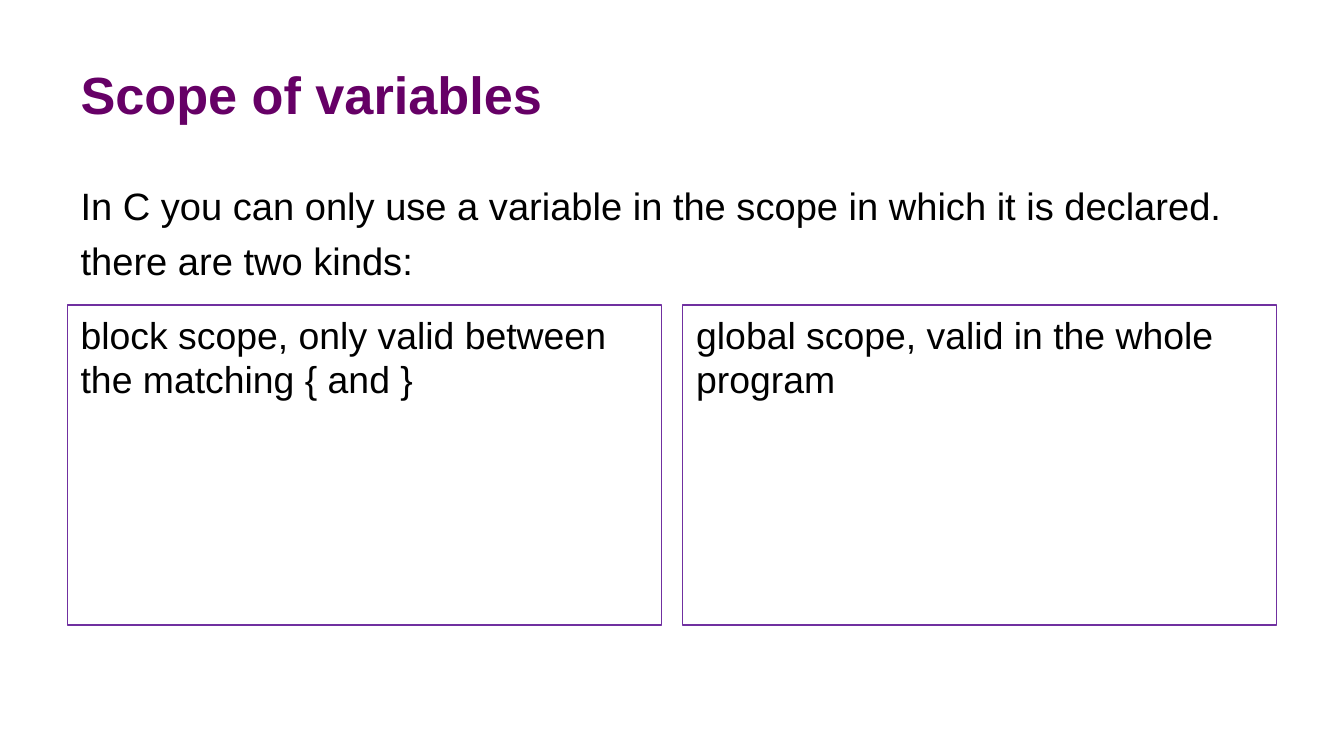
from lxml import etree
from pptx import Presentation
from pptx.dml.color import RGBColor
from pptx.enum.text import MSO_ANCHOR, MSO_AUTO_SIZE, PP_ALIGN
from pptx.oxml.ns import qn
from pptx.util import Inches, Pt

TOP, MIDDLE = MSO_ANCHOR.TOP, MSO_ANCHOR.MIDDLE
LEFT = PP_ALIGN.LEFT
NO_AUTOFIT = MSO_AUTO_SIZE.NONE
COMPARISON_LAYOUT = 4

WIDTH = 10
HEIGHT = WIDTH * 9 / 16
MARGIN, GUTTER = 0.5, 0.16
CONTENT_WIDTH = WIDTH - 2 * MARGIN
SCOPES = [
    "block scope, only valid between the matching { and }",
    "global scope, valid in the whole program",
]


def colour(hex_string):
    return RGBColor.from_string(hex_string)


def place(shape, box):
    shape.left, shape.top, shape.width, shape.height = map(Inches, box)


def write(shape, lines, size, hex_string, bold=False, anchor=TOP):
    frame = shape.text_frame
    frame.word_wrap = True
    frame.auto_size = NO_AUTOFIT
    frame.vertical_anchor = anchor
    for index, line in enumerate(lines):
        paragraph = frame.add_paragraph() if index else frame.paragraphs[0]
        paragraph.alignment = LEFT
        run = paragraph.add_run()
        run.text = line
        run.font.name = "Arial"
        run.font.size = Pt(size)
        run.font.bold = bold
        run.font.color.rgb = colour(hex_string)


def format_body(shape, space_before):
    for paragraph in shape.text_frame.paragraphs:
        paragraph.space_before = Pt(space_before)
        paragraph.line_spacing = 1.0
        properties = paragraph._p.get_or_add_pPr()
        properties.set("marL", "0")
        properties.set("indent", "0")
        etree.SubElement(properties, qn("a:buNone"))


def add_title(shape, box):
    place(shape, box)
    write(shape, ["Scope of variables"], 28, "660066", bold=True, anchor=MIDDLE)


def add_introduction(shape, box):
    place(shape, box)
    lines = [
        "In C you can only use a variable in the scope in which it is declared.",
        "there are two kinds:",
    ]
    write(shape, lines, 20.4, "000000")
    format_body(shape, 4.8)


def add_scope_panels(shapes, box):
    left, top, width, height = box
    column = (width - GUTTER) / 2
    for index, (shape, text) in enumerate(zip(shapes, SCOPES)):
        place(shape, (left + index * (column + GUTTER), top, column, height))
        shape.line.color.rgb = colour("7030A0")
        shape.line.width = Pt(0.75)
        write(shape, [text], 20, "000000")
        format_body(shape, 4)


def main():
    presentation = Presentation()
    presentation.slide_width = Inches(WIDTH)
    presentation.slide_height = Inches(HEIGHT)
    slide = presentation.slides.add_slide(presentation.slide_layouts[COMPARISON_LAYOUT])
    holders = {shape.placeholder_format.idx: shape for shape in slide.placeholders}
    add_title(holders[0], (MARGIN, 0.23, CONTENT_WIDTH, 0.94))
    add_introduction(holders[1], (MARGIN, 1.31, CONTENT_WIDTH, 0.73))
    add_scope_panels([holders[2], holders[4]], (MARGIN, 2.27, CONTENT_WIDTH, 2.38))
    unused = holders[3].element
    unused.getparent().remove(unused)
    presentation.save("out.pptx")


if __name__ == "__main__":
    main()
